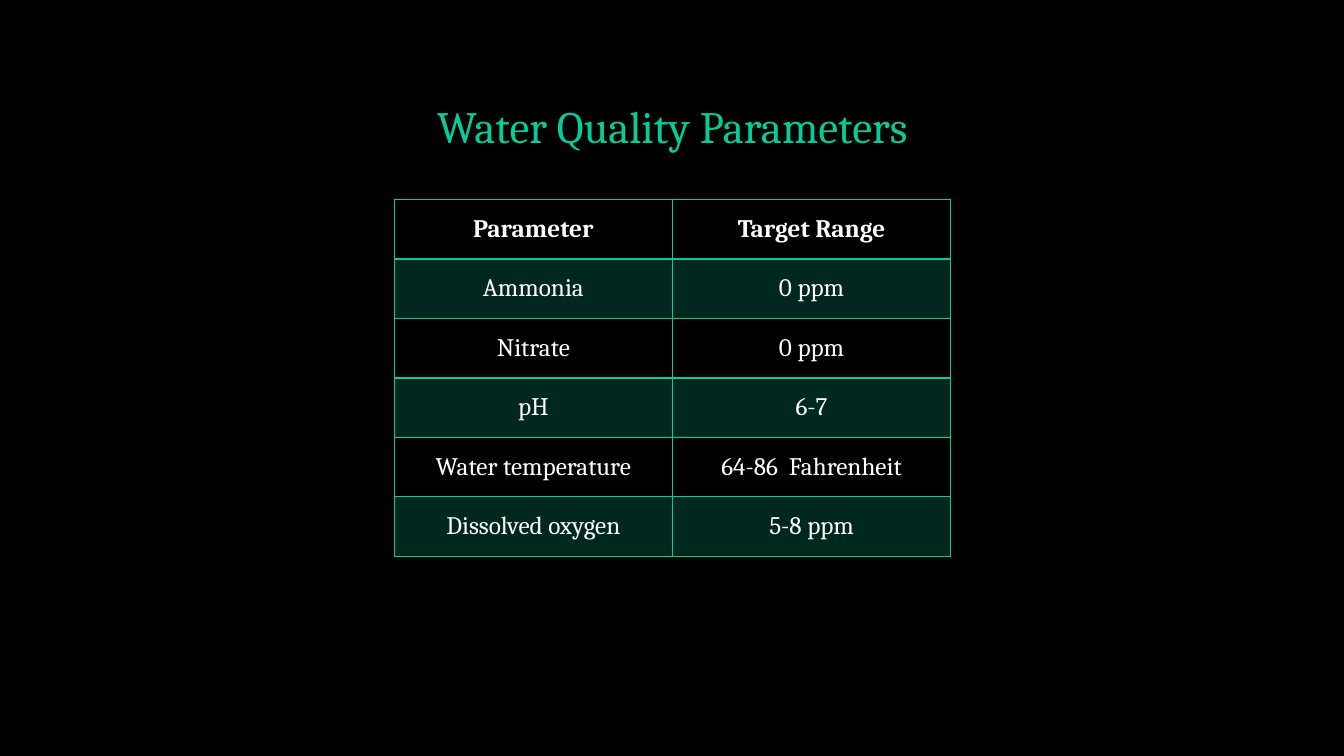
from lxml import etree
from pptx import Presentation
from pptx.dml.color import RGBColor
from pptx.enum.text import MSO_ANCHOR as Anchor, PP_ALIGN as Align
from pptx.oxml.ns import qn
from pptx.util import Inches, Pt

TITLE = "Water Quality Parameters"
ROWS = [
    ("Parameter", "Target Range"),
    ("Ammonia", "0 ppm"),
    ("Nitrate", "0 ppm"),
    ("pH", "6-7"),
    ("Water temperature", "64-86  Fahrenheit"),
    ("Dissolved oxygen", "5-8 ppm"),
]
COLORS = {"background": "000000", "accent": "07CB98", "text": "FFFFFF"}
FONT = "Cambria"
BAND_OPACITY = 20  # percent
TABLE_LEFT, TABLE_TOP = 3.91, 1.98
COLUMN_WIDTH, ROW_HEIGHT = 2.76, 0.59


def write_text(frame, text, size, color, bold=False, spacing=None):
    paragraph = frame.paragraphs[0]
    paragraph.alignment = Align.CENTER
    paragraph.line_spacing = spacing
    run = paragraph.add_run()
    run.text = text
    run.font.name = FONT
    run.font.size = Pt(size)
    run.font.bold = bold
    run.font.color.rgb = RGBColor.from_string(COLORS[color])


def add_borders(cell, color, widths):
    """Draw the cell's sides; borders must precede its fill in the XML."""
    properties = cell._tc.get_or_add_tcPr()
    for index, (side, width) in enumerate(widths.items()):
        line = etree.Element(qn(f"a:ln{side}"), w=str(Pt(width)))
        fill = etree.SubElement(line, qn("a:solidFill"))
        etree.SubElement(fill, qn("a:srgbClr"), val=COLORS[color])
        properties.insert(index, line)


def fill_band(cell, color, opacity):
    cell.fill.solid()
    cell.fill.fore_color.rgb = RGBColor.from_string(COLORS[color])
    tint = cell._tc.tcPr.find(f"{qn('a:solidFill')}/{qn('a:srgbClr')}")
    etree.SubElement(tint, qn("a:alpha"), val=str(opacity * 1000))


presentation = Presentation()
presentation.slide_width = Inches(13.33)
presentation.slide_height = Inches(7.5)
slide = presentation.slides.add_slide(presentation.slide_layouts[5])
slide.background.fill.solid()
slide.background.fill.fore_color.rgb = RGBColor.from_string(COLORS["background"])

# Title
title = slide.shapes.title
title.left, title.top = Inches(1.42), Inches(0.4)
title.width, title.height = Inches(10.5), Inches(1.17)
title.text_frame.vertical_anchor = Anchor.BOTTOM
write_text(title.text_frame, TITLE, size=32, color="accent", spacing=0.9)

# Table: bold header, then every other row tinted
table = slide.shapes.add_table(
    len(ROWS), len(ROWS[0]), Inches(TABLE_LEFT), Inches(TABLE_TOP),
    Inches(COLUMN_WIDTH * len(ROWS[0])), Inches(ROW_HEIGHT * len(ROWS)),
).table
table.horz_banding = False
for row_index, row in enumerate(ROWS):
    is_header = row_index == 0
    table.rows[row_index].height = Inches(ROW_HEIGHT)
    for column_index, text in enumerate(row):
        cell = table.cell(row_index, column_index)
        cell.vertical_anchor = Anchor.MIDDLE
        write_text(cell.text_frame, text, size=18, color="text", bold=is_header)
        if row_index % 2:
            fill_band(cell, "accent", BAND_OPACITY)
        else:
            cell.fill.background()
        add_borders(cell, "accent", {"L": 1, "R": 1, "T": 1, "B": 2 if is_header else 1})

presentation.save("out.pptx")
